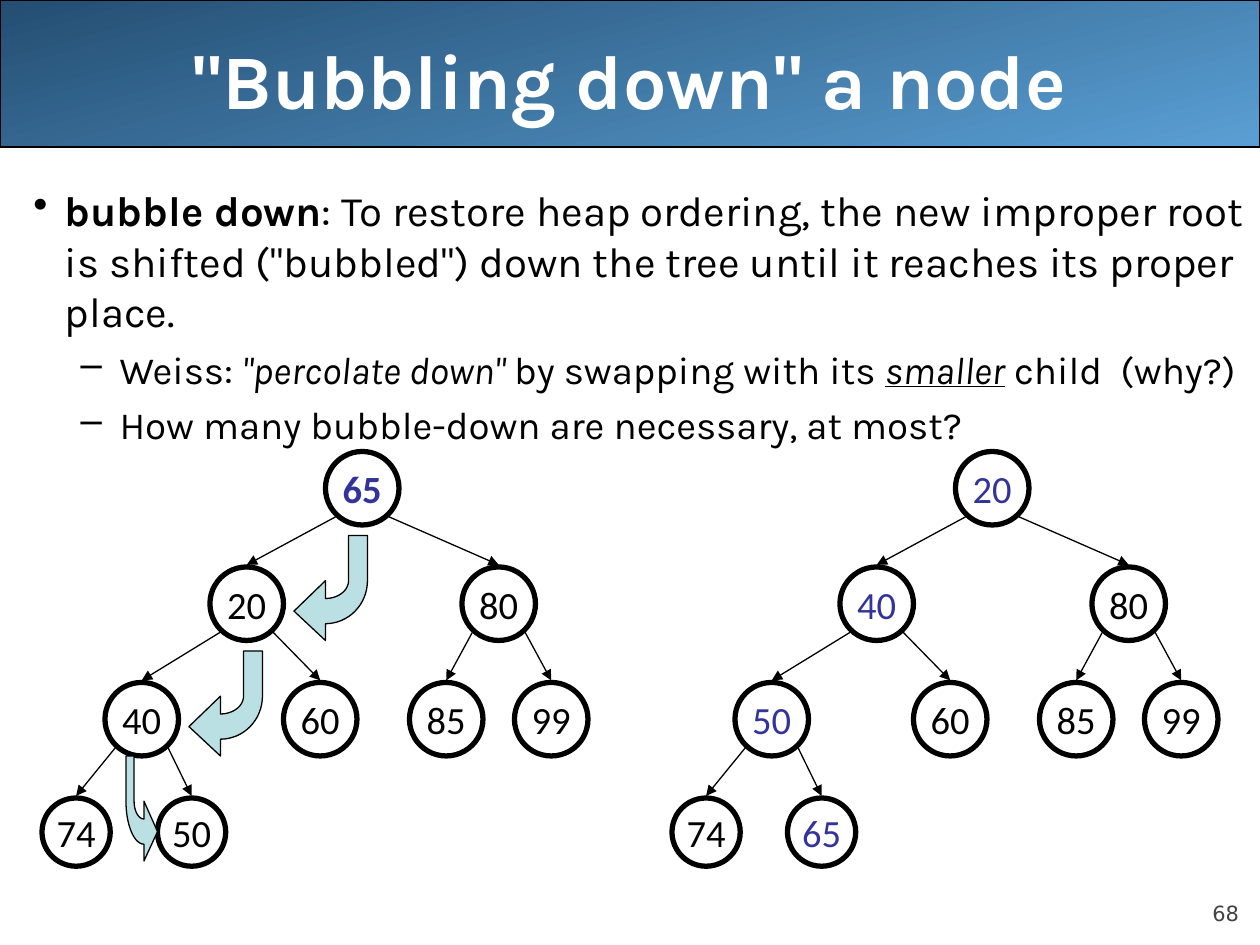
from math import cos, pi, sin

from lxml import etree
from pptx import Presentation
from pptx.dml.color import RGBColor
from pptx.enum.shapes import MSO_CONNECTOR, MSO_SHAPE
from pptx.enum.text import MSO_ANCHOR, PP_ALIGN
from pptx.oxml.ns import qn
from pptx.util import Pt

PX = 7620
OVAL, ROUND_RECT = MSO_SHAPE.OVAL, MSO_SHAPE.ROUNDED_RECTANGLE
STRAIGHT = MSO_CONNECTOR.STRAIGHT
TOP, MIDDLE, BOTTOM = MSO_ANCHOR.TOP, MSO_ANCHOR.MIDDLE, MSO_ANCHOR.BOTTOM
LEFT, CENTER, RIGHT = PP_ALIGN.LEFT, PP_ALIGN.CENTER, PP_ALIGN.RIGHT
BLACK = RGBColor(0x00, 0x00, 0x00)
WHITE = RGBColor(0xFF, 0xFF, 0xFF)
GRAY = RGBColor(0x42, 0x42, 0x42)
MOVED = RGBColor(0x33, 0x33, 0x99)
SWAP = RGBColor(0xBB, 0xE0, 0xE3)
HEADER = [RGBColor(0x24, 0x4E, 0x72), RGBColor(0x5A, 0x9F, 0xD4)]


def add_run(p, text, font, size, color, **styles):
    r = p.add_run()
    r.text = text
    r.font.color.rgb = color
    for key, value in {"name": font, "size": Pt(size), **styles}.items():
        setattr(r.font, key, value)


def add_box(x, y, w, h, anchor, align, margins=(12, 6)):
    tf = s.shapes.add_textbox(x * PX, y * PX, w * PX, h * PX).text_frame
    mx, my = (m * PX for m in margins)
    for key, value in {"word_wrap": True, "vertical_anchor": anchor,
                       "margin_left": mx, "margin_right": mx,
                       "margin_top": my, "margin_bottom": my}.items():
        setattr(tf, key, value)
    tf.paragraphs[0].alignment = align
    return tf


prs = Presentation()
prs.slide_width, prs.slide_height = 1200 * PX, 900 * PX
s = prs.slides.add_slide(prs.slide_layouts[6])

sp = s.shapes.add_shape(ROUND_RECT, 0, 0, 1200 * PX, 140 * PX)
sp.adjustments[0] = 0
sp.shadow.inherit = False
sp.fill.gradient()
sp.fill.gradient_angle = 285
for stop, position, color in zip(sp.fill.gradient_stops, (0, 1), HEADER):
    stop.position = position
    stop.color.rgb = color
sp.line.color.rgb = BLACK
sp.line.width = Pt(0.75)

tf = add_box(1080, 834, 100, 48, BOTTOM, RIGHT, (0, 0))
add_run(tf.paragraphs[0], "68", "DejaVu Sans", 12, GRAY)
tf = add_box(60, 0, 1080, 150, MIDDLE, CENTER)
add_run(tf.paragraphs[0], '"Bubbling down" a node', "Karla", 44, WHITE, bold=True)

ITALIC = {"italic": True}
BODY = [
    (0, [("bubble down", {"bold": True}),
         (": To restore heap ordering, the new improper root is shifted "
          '("bubbled") down the tree until it reaches its proper place.', {})]),
    (1, [("Weiss: ", {}), ('"percolate down"', ITALIC),
         (" by swapping with its ", {}),
         ("smaller", {"italic": True, "underline": True}),
         (" child  (why?)", {})]),
    (1, [("How many bubble-down are necessary, at most?", {})]),
]
LEVELS = [("•", 24, 6, 30, -30), ("–", 22, 5.5, 82, -37)]
tf = add_box(20, 170, 1180, 680, TOP, LEFT)
for i, (level, runs) in enumerate(BODY):
    p = tf.add_paragraph() if i else tf.paragraphs[0]
    bullet, size, before, margin, indent = LEVELS[level]
    p.level = level
    p.space_before = Pt(before)
    pPr = p._p.get_or_add_pPr()
    pPr.set("marL", str(margin * PX))
    pPr.set("indent", str(indent * PX))
    etree.SubElement(pPr, qn("a:buChar")).set("char", bullet)
    for text, styles in runs:
        add_run(p, text, "Karla", size, BLACK, **styles)

NODE_X = [310, 200, 440, 100, 270, 390, 490, 40, 150]
NODE_Y = [430 + 110 * ((i + 1).bit_length() - 1) for i in range(len(NODE_X))]
NODE_SIZE = [70] * 7 + [65] * 2
TREES = [
    (0, [65, 20, 80, 40, 60, 85, 99, 74, 50], {0}, True),
    (600, [20, 40, 80, 50, 60, 85, 99, 74, 65], {0, 1, 3, 8}, False),
]
for dx, values, moved, bold_root in TREES:
    for i, value in enumerate(values):
        x, y, size = NODE_X[i] + dx, NODE_Y[i], NODE_SIZE[i]
        sp = s.shapes.add_shape(OVAL, x * PX, y * PX, size * PX, size * PX)
        sp.shadow.inherit = False
        sp.fill.background()
        sp.line.color.rgb = BLACK
        sp.line.width = Pt(3)
        tf = sp.text_frame
        tf.word_wrap = False
        tf.vertical_anchor = MIDDLE
        p = tf.paragraphs[0]
        p.alignment = CENTER
        add_run(p, str(value), "Calibri", 22, MOVED if i in moved else BLACK,
                bold=bold_root and i == 0)
        if i == 0:
            continue
        parent = (i - 1) // 2
        side = -25 if i % 2 else 25
        start_x = NODE_X[parent] + dx + 35 + side
        cn = s.shapes.add_connector(STRAIGHT, start_x * PX, (NODE_Y[parent] + 62) * PX,
                                    x * PX + size * PX // 2, (y - 2) * PX)
        cn.line.color.rgb = BLACK
        cn.line.width = Pt(0.75)
        etree.SubElement(cn.line._get_or_add_ln(), qn("a:tailEnd")).set("type", "triangle")
        etree.SubElement(cn._element.spPr, qn("a:effectLst"))

STEPS = 16
ANGLES = [pi / 2 * k / STEPS for k in range(STEPS + 1)]
OUTER = [(30 + 40 * sin(a), 43 + 41 * cos(a)) for a in ANGLES]
INNER = [(30 + 22 * cos(a), 43 + 17 * sin(a)) for a in ANGLES]
BENT_ARROW = [(0, 72), (30, 100), *OUTER, (70, 0), (52, 0), *INNER, (30, 43)]
for left, top, width in [(280, 510, 70), (180, 620, 70), (150, 720, -30)]:
    points = [(round((left + x * width / 70) * PX), round((top + y) * PX))
              for x, y in BENT_ARROW]
    fb = s.shapes.build_freeform(*points[0])
    fb.add_line_segments(points[1:], close=True)
    sp = fb.convert_to_shape()
    sp.shadow.inherit = False
    sp.fill.solid()
    sp.fill.fore_color.rgb = SWAP
    sp.line.color.rgb = BLACK
    sp.line.width = Pt(0.75)

prs.save("out.pptx")
